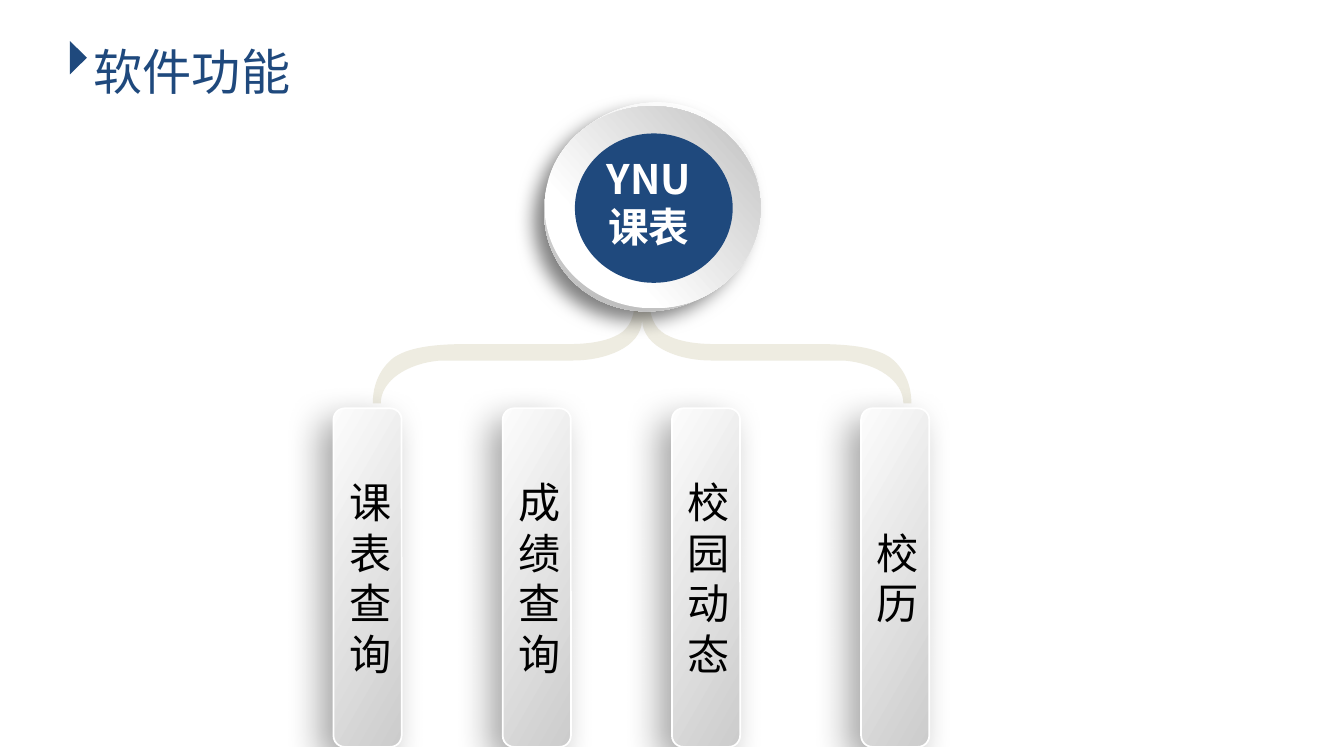
"""Build the software features slide: one hub circle above four feature bars."""
from dataclasses import dataclass, field
from typing import Any

from lxml import etree
from pptx import Presentation
from pptx import util as u
from pptx.dml import color
from pptx.enum import shapes, text
from pptx.oxml import ns

NAVY = color.RGBColor(0x1F, 0x49, 0x7D)
WHITE = color.RGBColor(0xFF, 0xFF, 0xFF)
BLACK = color.RGBColor(0x00, 0x00, 0x00)
IVORY = color.RGBColor(0xEE, 0xEC, 0xE1)
SILVER = color.RGBColor(0xB8, 0xB8, 0xB8)
LIGHT_SILVER = color.RGBColor(0xBF, 0xBF, 0xBF)
PALE = color.RGBColor(0xFC, 0xFC, 0xFC)
GREY = color.RGBColor(0xCC, 0xCC, 0xCC)

KIND = shapes.MSO_SHAPE
Point = tuple[float, float]


@dataclass(frozen=True)
class Gradient:
    """A linear blend of two colours, with its angle measured clockwise."""

    start: color.RGBColor
    end: color.RGBColor
    start_at: float
    end_at: float
    angle: float


@dataclass(frozen=True)
class Shadow:
    """A black outer shadow in points, degrees and percent."""

    opacity: int
    blur: float
    distance: float
    direction: int


@dataclass(frozen=True)
class Figure:
    """A preset shape with its box in centimetres."""

    kind: shapes.MSO_SHAPE
    box: tuple[float, float, float, float]
    fill: color.RGBColor | Gradient
    rotation: float = 0
    shadow: Shadow | None = None
    outline: color.RGBColor | None = None
    rounding: float | None = None


@dataclass(frozen=True)
class Label:
    """Lines of text with their formats."""

    lines: tuple[str, ...]
    font: dict[str, Any]
    frame: dict[str, Any] = field(default_factory=dict)
    paragraph: dict[str, Any] = field(default_factory=dict)


FLUSH = dict.fromkeys(("margin_left", "margin_right", "margin_top", "margin_bottom"), 0)
TITLE = Label(
    ("软件功能",),
    {"name": "Arial", "size": u.Pt(28), "color": NAVY},
    {"word_wrap": False, "auto_size": text.MSO_AUTO_SIZE.NONE, "vertical_anchor": text.MSO_ANCHOR.TOP},
    {"alignment": text.PP_ALIGN.LEFT},
)
HUB = Label(
    ("YNU", "课表"),
    {"name": "Noto Sans CJK SC", "size": u.Pt(23.1), "bold": True, "color": WHITE},
    {"word_wrap": True, **FLUSH},
    {"alignment": text.PP_ALIGN.CENTER, "line_spacing": u.Pt(27)},
)
BAR_FONT = {"name": "Calibri", "size": u.Pt(24), "color": BLACK}
BAR_FRAME = {
    "word_wrap": True,
    "vertical_anchor": text.MSO_ANCHOR.MIDDLE,
    "margin_left": u.Cm(0.25),
    "margin_right": u.Cm(0.2),
}
BAR_PARAGRAPH = {"alignment": text.PP_ALIGN.CENTER, "line_spacing": u.Pt(28.8)}
BARS = {"课表查询": 6.7, "成绩查询": 10.1, "校园动态": 13.5, "校历": 17.3}
BAR_GRADIENT = Gradient(PALE, GREY, 0, 1, 30)
BAR_SHADOW = Shadow(34, 20, 10, 136)

RULE = Figure(KIND.ROUNDED_RECTANGLE, (1.35, 2.11, 24.33, 0.08), WHITE, rounding=0.5)
FIGURES = (
    Figure(KIND.ISOSCELES_TRIANGLE, (1.24, 0.99, 0.67, 0.34), NAVY, 90),
    Figure(KIND.OVAL, (11.03, 1.96, 4.14, 4.39), Gradient(WHITE, SILVER, 0.17, 0.88, 45), 62.3,
           Shadow(50, 11, 8, 140)),
    Figure(KIND.OVAL, (11.08, 1.99, 4.06, 4.34), Gradient(WHITE, LIGHT_SILVER, 0.29, 0.98, 45), 273),
    Figure(KIND.OVAL, (11.55, 2.68, 3.17, 3), NAVY),
)

BRANCH_AXIS = 12.9
BRANCH_START = (12.9, 6.43)
BRANCH_SEGMENTS: tuple[tuple[Point, ...], ...] = (
    ((12.88, 6.99), (12.14, 7.24), (11.51, 7.24)),
    ((8.86, 7.24),),
    ((8.18, 7.29), (7.65, 7.65), (7.65, 8.1)),
    ((7.49, 8.1),),
    ((7.49, 7.7), (7.65, 7.39), (7.9, 7.19)),
    ((8.18, 6.99), (8.66, 6.91), (9.37, 6.91)),
    ((11.43, 6.91),),
    ((11.81, 6.91), (12.12, 6.86), (12.34, 6.76)),
    ((12.6, 6.65), (12.73, 6.45), (12.75, 6.1)),
)


def apply(target: Any, values: dict[str, Any]) -> None:
    """Set each named attribute on the target."""
    for name, value in values.items():
        setattr(target, name, value)


def write(shape: Any, label: Label) -> None:
    """Fill a shape with formatted lines."""
    frame = shape.text_frame
    frame.text = "\n".join(label.lines)
    apply(frame, label.frame)
    plain = {name: value for name, value in label.font.items() if name != "color"}
    for paragraph in frame.paragraphs:
        apply(paragraph, label.paragraph)
        for run in paragraph.runs:
            apply(run.font, plain)
            run.font.color.rgb = label.font["color"]


def paint(shape: Any, fill: color.RGBColor | Gradient) -> None:
    """Give a shape a solid or gradient fill, no line and no shadow."""
    shape.shadow.inherit = False
    shape.line.fill.background()
    if isinstance(fill, Gradient):
        shape.fill.gradient()
        shape.fill.gradient_angle = 360 - fill.angle
        stops = shape.fill.gradient_stops
        for stop, shade, position in zip(stops, (fill.start, fill.end), (fill.start_at, fill.end_at)):
            stop.color.rgb = shade
            stop.position = position
    else:
        shape.fill.solid()
        shape.fill.fore_color.rgb = fill


def cast(shape: Any, shadow: Shadow) -> None:
    """Add an outer shadow to a shape."""
    effects = shape._element.spPr.find(ns.qn("a:effectLst"))
    outer = etree.SubElement(
        effects, ns.qn("a:outerShdw"), blurRad=str(u.Pt(shadow.blur)), dist=str(u.Pt(shadow.distance)),
        dir=str(shadow.direction * 60000), algn="ctr", rotWithShape="0")
    shade = etree.SubElement(outer, ns.qn("a:srgbClr"), val=str(BLACK))
    etree.SubElement(shade, ns.qn("a:alpha"), val=str(shadow.opacity * 1000))


def draw(slide: Any, figure: Figure) -> Any:
    """Draw one preset shape."""
    shape = slide.shapes.add_shape(figure.kind, *map(u.Cm, figure.box))
    paint(shape, figure.fill)
    shape.rotation = figure.rotation
    if figure.rounding is not None:
        shape.adjustments[0] = figure.rounding
    if figure.outline is not None:
        shape.line.color.rgb = figure.outline
        shape.line.width = u.Pt(1)
    if figure.shadow is not None:
        cast(shape, figure.shadow)
    return shape


def draw_branches(slide: Any) -> None:
    """Draw the mirrored branches, turning each run of three points into a curve."""
    half = [BRANCH_START] + [point for segment in BRANCH_SEGMENTS for point in segment]
    mirrored = [(2 * BRANCH_AXIS - x, y) for x, y in reversed(half)]
    points = [(u.Cm(x), u.Cm(y)) for x, y in half + mirrored]
    builder = slide.shapes.build_freeform(*points[0])
    builder.add_line_segments(points[1:], close=True)
    shape = builder.convert_to_shape()
    paint(shape, IVORY)
    sizes = [len(segment) for segment in BRANCH_SEGMENTS]
    steps = list(shape._element.iter(ns.qn("a:lnTo")))
    for size in sizes + [1] + sizes[::-1]:
        group, steps = steps[:size], steps[size:]
        if size == 3:
            curve = etree.Element(ns.qn("a:cubicBezTo"))
            group[0].addprevious(curve)
            for step in group:
                curve.append(step[0])
                step.getparent().remove(step)


def main() -> None:
    """Build and save the presentation."""
    presentation = Presentation()
    apply(presentation, {"slide_width": u.Cm(27), "slide_height": u.Cm(15)})
    slide = presentation.slides.add_slide(presentation.slide_layouts[5])
    title = slide.shapes.title
    apply(title, dict(zip(("left", "top", "width", "height"), map(u.Cm, (1.63, 0.71, 4.5, 1.45)))))
    write(title, TITLE)
    draw(slide, RULE)
    draw_branches(slide)
    for figure in FIGURES:
        draw(slide, figure)
    write(slide.shapes.add_textbox(*map(u.Cm, (11.89, 3.12, 2.29, 1.9))), HUB)
    for name, left in BARS.items():
        bar = Figure(KIND.ROUNDED_RECTANGLE, (left, 8.2, 1.37, 6.8), BAR_GRADIENT, 0, BAR_SHADOW, WHITE)
        write(draw(slide, bar), Label((name,), BAR_FONT, BAR_FRAME, BAR_PARAGRAPH))
    presentation.save("out.pptx")


if __name__ == "__main__":
    main()
